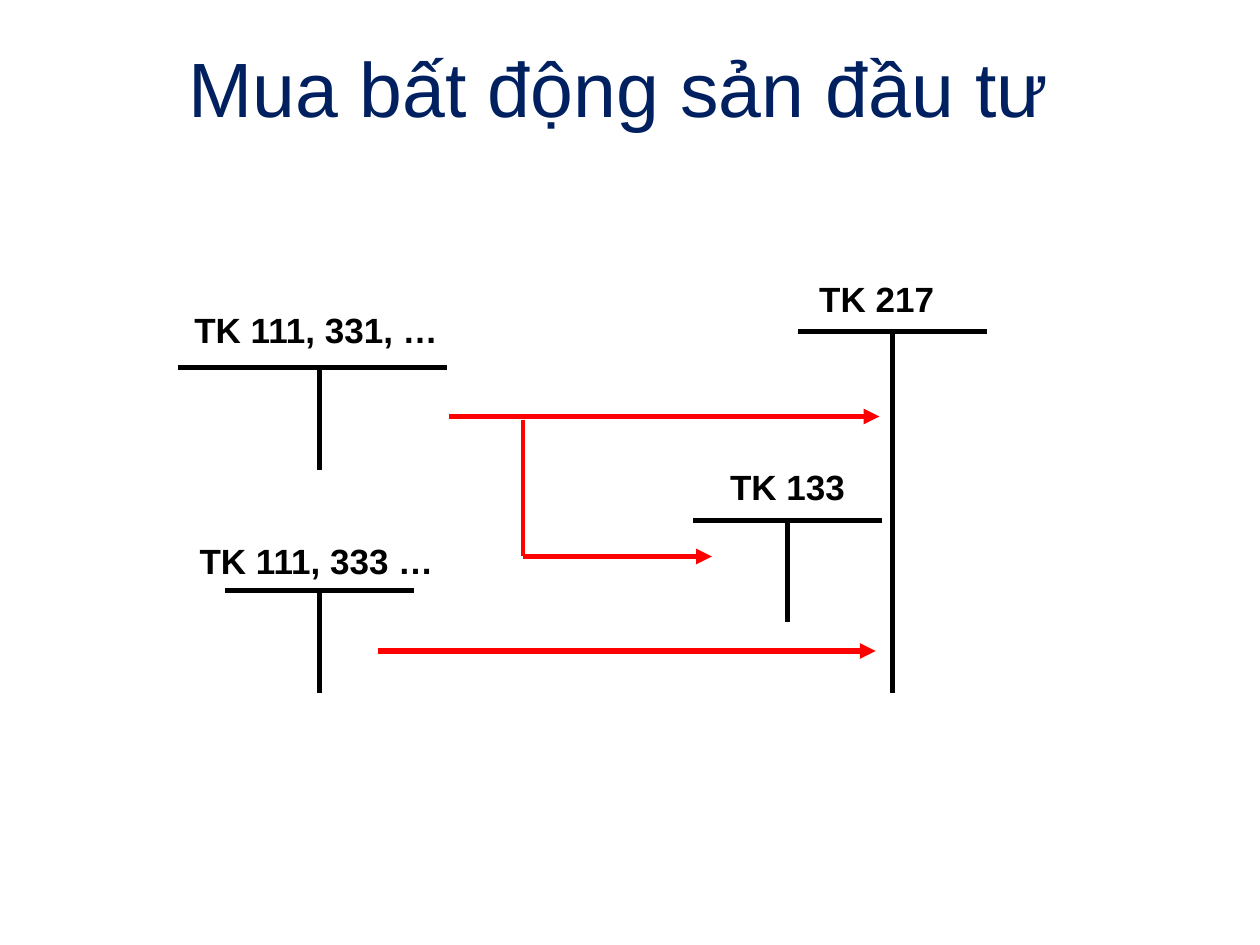
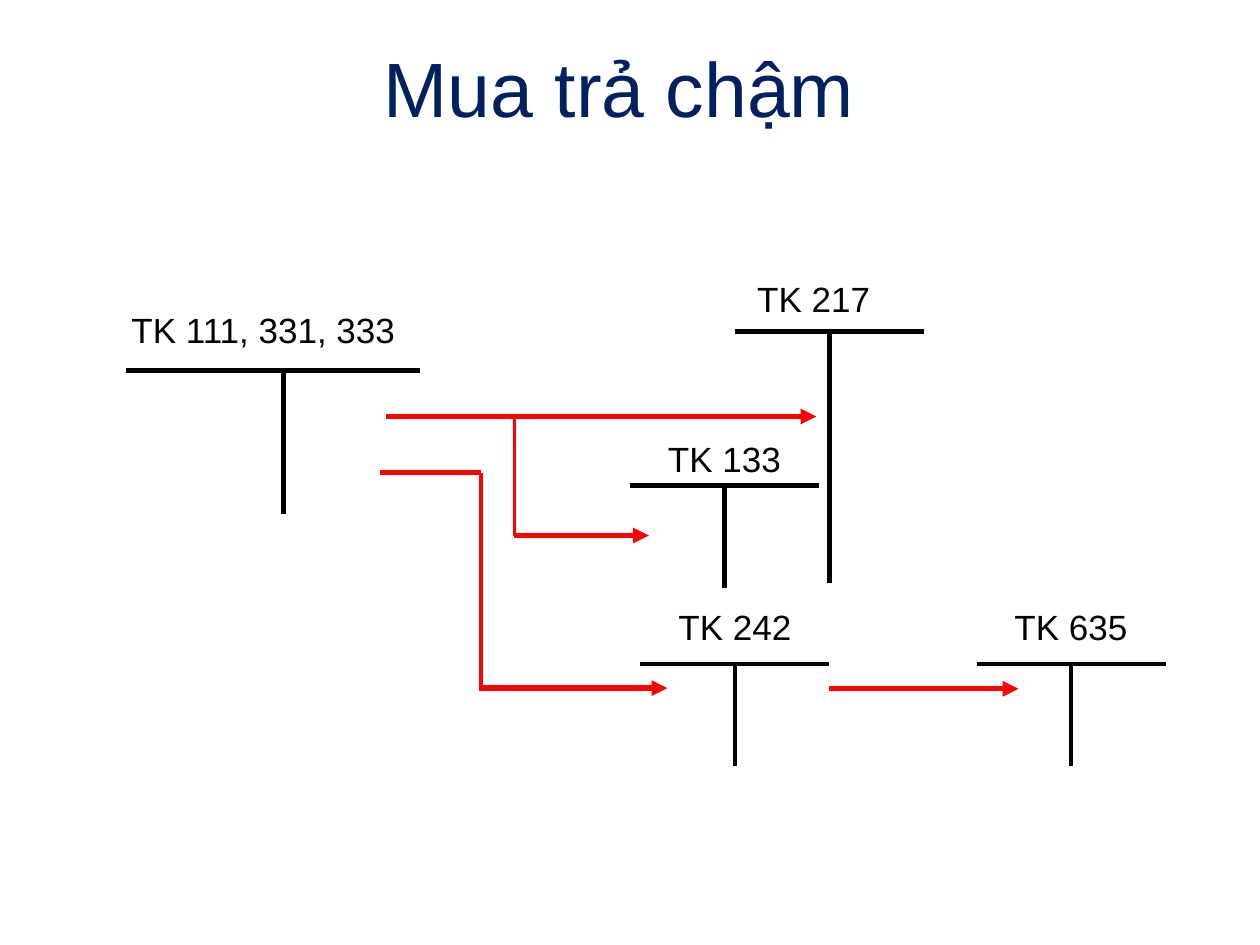
from dataclasses import dataclass

from lxml import etree
from pptx import Presentation
from pptx.dml.color import RGBColor
from pptx.enum import shapes, text
from pptx.oxml import ns
from pptx.util import Pt

FONT = "Arial"
NAVY, BLACK, RED = "002060", "000000", "FF0000"
TITLE_BOX = (30, 21.6, 660, 56)
LABEL_HEIGHT = 31.5
ACCOUNT_LINE, FLOW_LINE, BRANCH_LINE = 2.75, 3, 2.25


@dataclass
class Account:
    name: str
    stem_x: float
    bar_y: float
    label_top: float
    label_width: float = 84
    label_shift: float = 0
    stem_height: float = 58.3
    bar_left: float = 54
    bar_right: float = 54


SLIDES = [
    {
        "title": "Mua bất động sản đầu tư ",
        "bold": True,
        "accounts": [
            Account("TK 217", 510, 189.3, 154.8, 186, -9, stem_height=206.7),
            Account("TK 111, 331, …", 182.4, 210, 172.8, 178.8, -1.7,
                    bar_left=80.4, bar_right=73.2),
            Account("TK 133", 450, 297.4, 262),
            Account("TK 111, 333 …", 182.4, 337.5, 304.5, 150, -1.5),
        ],
        "arrows": [(256.5, 238, 502.5), (298.8, 318, 406.8), (216, 372, 500.4)],
        "plain_flows": [],
        "branches": [(298.8, 240, 318)],
    },
    {
        "title": "Mua trả chậm ",
        "bold": False,
        "accounts": [
            Account("TK 217", 474, 189.3, 154.8, 186, -9, stem_height=144),
            Account("TK 111, 331, 333", 162, 211.5, 172.8, 178.8, -11.5,
                    stem_height=82, bar_left=90, bar_right=78),
            Account("TK 133", 414, 277.5, 246.2),
            Account("TK 242", 420, 379.5, 342),
            Account("TK 635", 612, 379.5, 342),
        ],
        "arrows": [(220.5, 238, 466.5), (294, 306, 370.8),
                   (273.8, 393.2, 381.4), (474, 393.6, 582)],
        "plain_flows": [(217.2, 270, 275)],
        "branches": [(294, 238, 306), (275, 270, 394.6)],
    },
]


def color(hex_value):
    return RGBColor.from_string(hex_value)


def add_text(slide, content, box, size, hex_value, bold=False):
    shape = slide.shapes.add_textbox(*map(Pt, box))
    frame = shape.text_frame
    frame.word_wrap = True
    frame.vertical_anchor = text.MSO_ANCHOR.MIDDLE
    paragraph = frame.paragraphs[0]
    paragraph.alignment = text.PP_ALIGN.CENTER
    run = paragraph.add_run()
    run.text = content
    run.font.name = FONT
    run.font.size = Pt(size)
    run.font.bold = bold
    run.font.color.rgb = color(hex_value)


def add_line(slide, start, end, hex_value, width, arrow=False):
    connector = slide.shapes.add_connector(
        shapes.MSO_CONNECTOR.STRAIGHT, *map(Pt, (*start, *end)))
    connector.line.color.rgb = color(hex_value)
    connector.line.width = Pt(width)
    if arrow:
        outline = connector.line._get_or_add_ln()
        etree.SubElement(outline, ns.qn("a:tailEnd"), type="triangle")
    etree.SubElement(connector._element.spPr, ns.qn("a:effectLst"))


def add_account(slide, account, bold):
    x, y = account.stem_x, account.bar_y
    label_left = x + account.label_shift - account.label_width / 2
    add_text(slide, account.name,
             (label_left, account.label_top, account.label_width, LABEL_HEIGHT),
             20, BLACK, bold)
    add_line(slide, (x, y), (x, y + account.stem_height), BLACK, ACCOUNT_LINE)
    add_line(slide, (x - account.bar_left, y), (x + account.bar_right, y),
             BLACK, ACCOUNT_LINE)


def add_diagram(presentation, content):
    slide = presentation.slides.add_slide(presentation.slide_layouts[6])
    add_text(slide, content["title"], TITLE_BOX, 44, NAVY)
    for account in content["accounts"]:
        add_account(slide, account, content["bold"])
    for key, arrow in (("arrows", True), ("plain_flows", False)):
        for left, y, right in content[key]:
            add_line(slide, (left, y), (right, y), RED, FLOW_LINE, arrow)
    for x, top, bottom in content["branches"]:
        add_line(slide, (x, top), (x, bottom), RED, BRANCH_LINE)


def main():
    presentation = Presentation()
    presentation.slide_width, presentation.slide_height = Pt(720), Pt(540)
    for content in SLIDES:
        add_diagram(presentation, content)
    presentation.save("out.pptx")


if __name__ == "__main__":
    main()
